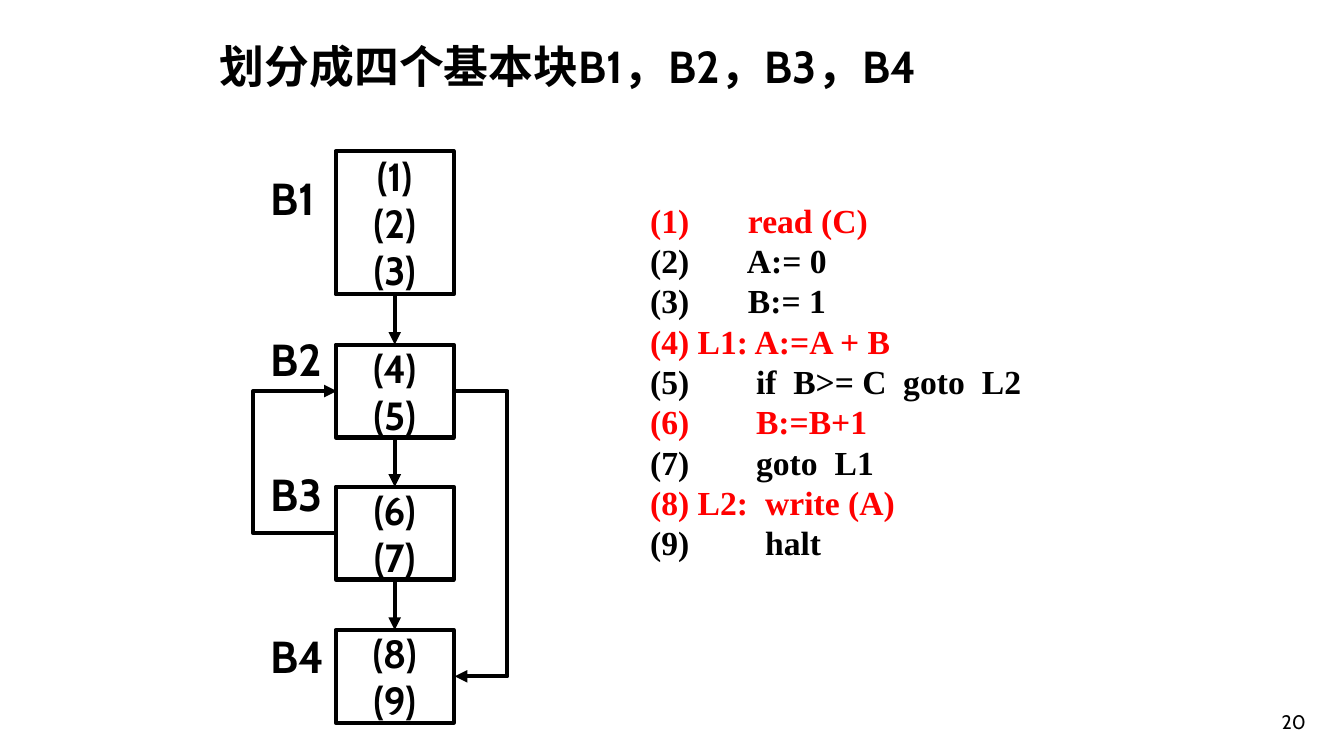
from lxml.etree import SubElement
from pptx import Presentation
from pptx.dml.color import RGBColor
from pptx.enum.shapes import MSO_CONNECTOR, MSO_SHAPE
from pptx.enum.text import MSO_ANCHOR, MSO_AUTO_SIZE, PP_ALIGN
from pptx.oxml.ns import qn
from pptx.util import Inches, Pt

BLACK = RGBColor(0x00, 0x00, 0x00)
RED = RGBColor(0xFF, 0x00, 0x00)
TOP, LEFT, BOTTOM, RIGHT = range(4)
ELBOW_WIDTH = 0.01

BLOCKS = [
    (1.5, 1.42, ["(1)", "(2)", "(3)"]),
    (3.42, 0.92, ["(4)", "(5)"]),
    (4.83, 0.92, ["(6)", "(7)"]),
    (6.25, 0.92, ["(8)", "(9)"]),
]
LABELS = [("B1", 0), ("B2", 77), ("B3", 58), ("B4", 77)]
CODE = [
    ("(1)\tread (C)", RED, [0.97]),
    ("(2)\tA:= 0", BLACK, [0.96]),
    ("(3)\tB:= 1", BLACK, [0.97]),
    ("(4) L1: A:=A + B", RED, []),
    ("(5)\tif\tB>= C\tgoto\tL2", BLACK, [1.05, 1.42, 2.51, 3.29]),
    ("(6)\tB:=B+1", RED, [1.05]),
    ("(7)\tgoto\tL1", BLACK, [1.05, 1.83]),
    ("(8) L2:\twrite (A)", RED, [1.14]),
    ("(9)\thalt", BLACK, [1.14]),
]


class FlowSlide:
    """Draws a basic-block flow graph on one title-only slide."""

    def __init__(self, presentation):
        self.slide = presentation.slides.add_slide(presentation.slide_layouts[5])
        self.shapes = self.slide.shapes
        self.font = "Cabin"
        self.code_font = "Times New Roman"
        self.line_width = Pt(3)

    def add_text(self, paragraph, text, size, color=BLACK, bold=True, face=None):
        run = paragraph.add_run()
        run.text = text
        run.font.name = face or self.font
        run.font.size = Pt(size)
        run.font.bold = bold
        run.font.color.rgb = color

    def paragraphs(self, frame, count):
        return [frame.paragraphs[0]] + [frame.add_paragraph() for _ in range(count - 1)]

    def text_frame(self, left, top, width, height, wrap=True):
        box = self.shapes.add_textbox(
            Inches(left), Inches(top), Inches(width), Inches(height))
        box.text_frame.word_wrap = wrap
        return box.text_frame

    def title(self, text):
        heading = self.shapes.title
        heading.left, heading.top = Inches(2.08), Inches(0.33)
        heading.width, heading.height = Inches(10), Inches(0.63)
        frame = heading.text_frame
        frame.auto_size = MSO_AUTO_SIZE.NONE
        frame.vertical_anchor = MSO_ANCHOR.TOP
        frame.paragraphs[0].alignment = PP_ALIGN.LEFT
        self.add_text(frame.paragraphs[0], text, 32)

    def block(self, top, height, numbers):
        block = self.shapes.add_shape(
            MSO_SHAPE.RECTANGLE, Inches(3.33), Inches(top), Inches(1.17), Inches(height))
        block.shadow.inherit = False
        block.fill.background()
        block.line.color.rgb = BLACK
        block.line.width = self.line_width
        frame = block.text_frame
        frame.word_wrap = False
        frame.vertical_anchor = MSO_ANCHOR.MIDDLE
        for paragraph, number in zip(self.paragraphs(frame, len(numbers)), numbers):
            paragraph.alignment = PP_ALIGN.CENTER
            self.add_text(paragraph, number, 28)
        return block

    def arrow(self, source, target, source_side=BOTTOM, target_side=TOP,
              kind=MSO_CONNECTOR.STRAIGHT):
        arrow = self.shapes.add_connector(kind, 0, 0, 0, 0)
        arrow.begin_connect(source, source_side)
        arrow.end_connect(target, target_side)
        arrow.line.color.rgb = BLACK
        arrow.line.width = self.line_width
        properties = arrow._element.spPr
        SubElement(properties.find(qn("a:ln")), qn("a:tailEnd"), type="triangle")
        SubElement(properties, qn("a:effectLst"))
        return arrow

    def jump(self, source, target, side, reach):
        jump = self.arrow(source, target, side, side, MSO_CONNECTOR.ELBOW)
        jump.end_x = jump.begin_x + Inches(ELBOW_WIDTH)
        guides = jump._element.spPr.find(qn("a:prstGeom")).find(qn("a:avLst"))
        SubElement(guides, qn("a:gd"), name="adj1",
                   fmla=f"val {round(reach / ELBOW_WIDTH * 100000)}")

    def labels(self, labels):
        frame = self.text_frame(2.58, 1.64, 0.8, 5.22, wrap=False)
        for paragraph, (name, gap) in zip(self.paragraphs(frame, len(labels)), labels):
            if gap:
                paragraph.space_before = Pt(gap)
            self.add_text(paragraph, name, 32)

    def code(self, lines):
        frame = self.text_frame(6.35, 1.93, 4.58, 3.82)
        for paragraph, (text, color, stops) in zip(self.paragraphs(frame, len(lines)), lines):
            if stops:
                tabs = SubElement(paragraph._p.get_or_add_pPr(), qn("a:tabLst"))
                for stop in stops:
                    SubElement(tabs, qn("a:tab"), pos=str(Inches(stop)), algn="l")
            paragraph.line_spacing = Pt(28.8)
            self.add_text(paragraph, text, 24, color, face=self.code_font)

    def page_number(self, number):
        frame = self.text_frame(10.27, 6.83, 2.78, 0.5)
        frame.vertical_anchor = MSO_ANCHOR.BOTTOM
        frame.paragraphs[0].alignment = PP_ALIGN.RIGHT
        self.add_text(frame.paragraphs[0], number, 14, bold=False)


def main():
    presentation = Presentation()
    presentation.slide_width = Inches(13.33)
    presentation.slide_height = Inches(7.5)
    flow = FlowSlide(presentation)
    flow.title("划分成四个基本块B1，B2，B3，B4")
    blocks = [flow.block(*block) for block in BLOCKS]
    for source, target in zip(blocks, blocks[1:]):
        flow.arrow(source, target)
    flow.jump(blocks[2], blocks[1], LEFT, -0.83)
    flow.jump(blocks[1], blocks[3], RIGHT, 0.54)
    flow.labels(LABELS)
    flow.code(CODE)
    flow.page_number("20")
    presentation.save("out.pptx")


if __name__ == "__main__":
    main()
